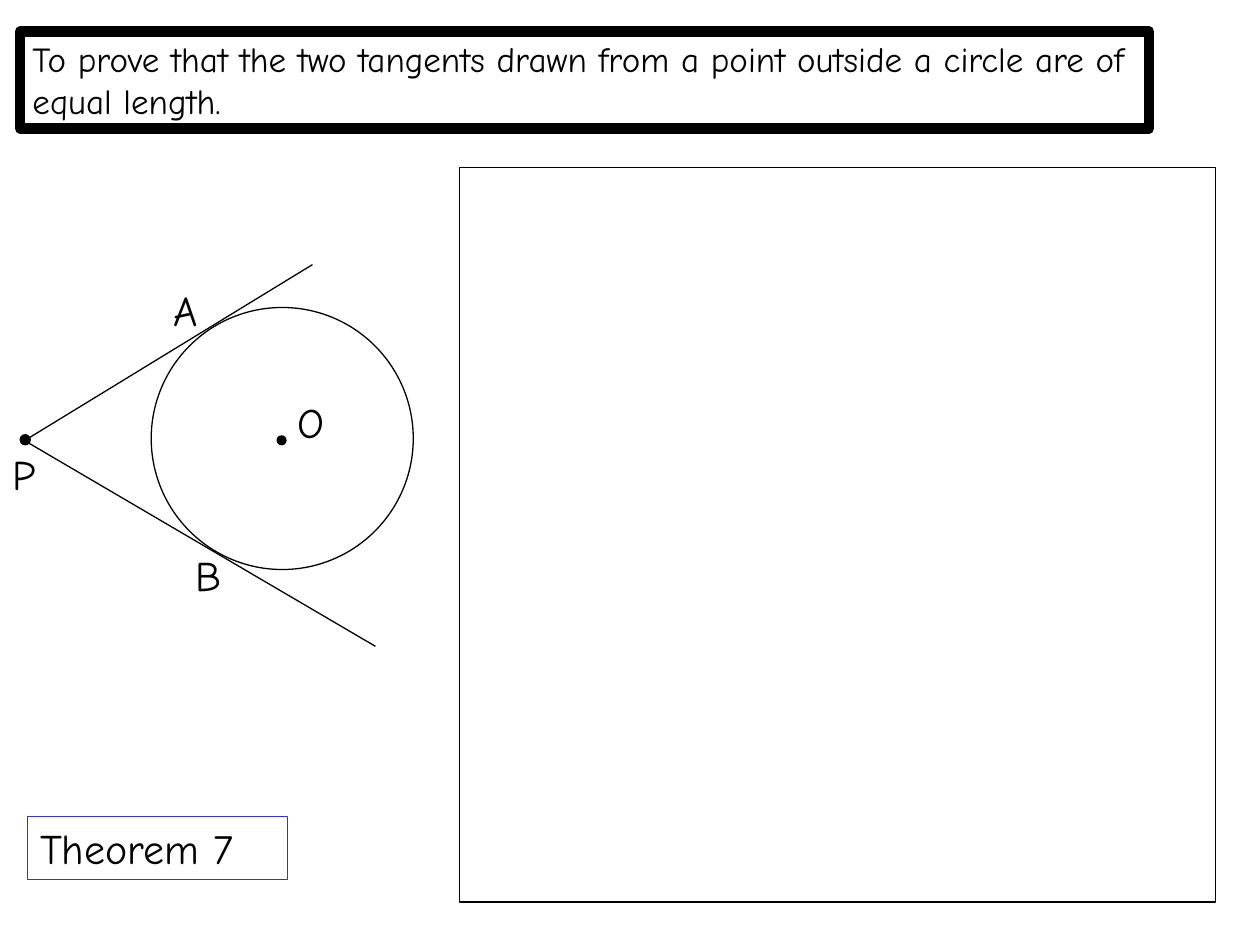
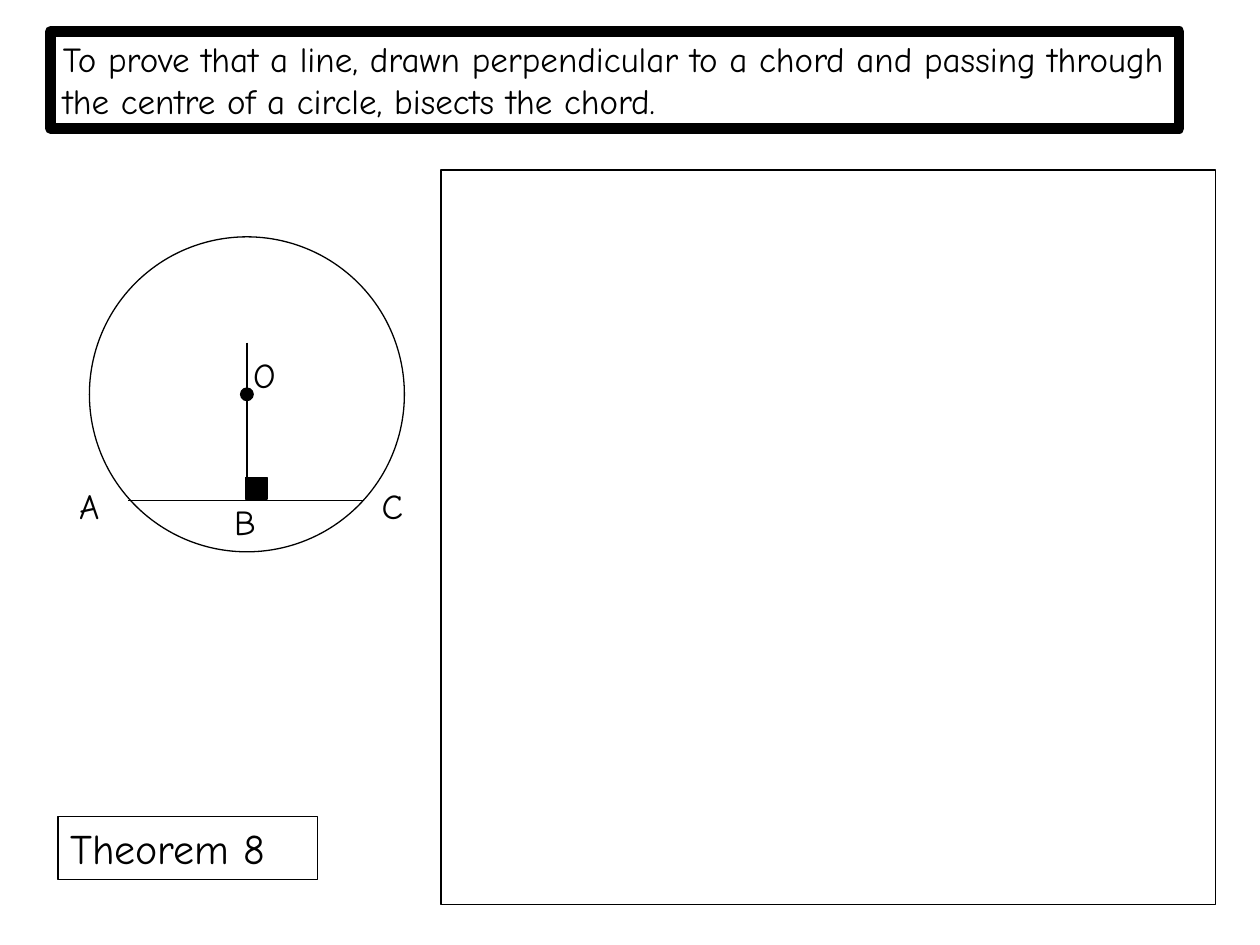
from lxml.etree import SubElement
from pptx import Presentation
from pptx.dml.color import RGBColor
from pptx.enum.shapes import MSO_CONNECTOR, MSO_SHAPE
from pptx.enum.text import MSO_ANCHOR, PP_ALIGN
from pptx.oxml.ns import qn
from pptx.util import Inches, Pt

BLACK = RGBColor(0x00, 0x00, 0x00)
BLUE = RGBColor(0x33, 0x33, 0xCC)
FONT = "Comic Neue"
THIN, THICK = 0.75, 6

# Each theorem: wording, left offset of its boxes, proof area and figure
theorems = [
    {
        "statement": "To prove that the two tangents drawn from a point outside "
                     "a circle are of equal length.",
        "name": "Theorem 7",
        "name_border": BLUE,
        "left": 0.16,
        "proof_area": (3.65, 1.33, 6, 5.83),
        "circle": (1.2, 2.44, 2.08),
        "dots": [(2.2, 3.46, 0.07), (0.16, 3.45, 0.08)],
        "right_angles": [],
        "lines": [(0.19, 3.5, 2.48, 2.1), (0.2, 3.5, 2.98, 5.13)],
        "label_box": (0.56, 0.5, 24),
        "labels": [("O", 2.26, 3.1), ("A", 1.28, 2.21),
                   ("B", 1.45, 4.31), ("P", 0, 3.51)],
    },
    {
        "statement": "To prove that a line, drawn perpendicular to a chord and "
                     "passing through the centre of a circle, bisects the chord.",
        "name": "Theorem 8",
        "name_border": BLACK,
        "left": 0.4,
        "proof_area": (3.5, 1.35, 6.15, 5.83),
        "circle": (0.71, 1.88, 2.5),
        "dots": [(1.91, 3.08, 0.1)],
        "right_angles": [(1.95, 3.79, 0.17)],
        "lines": [(1.02, 3.97, 2.88, 3.97), (1.96, 2.72, 1.96, 3.95)],
        "label_box": (0.65, 0.44, 20),
        "labels": [("O", 1.91, 2.76), ("A", 0.53, 3.8),
                   ("B", 1.76, 3.92), ("C", 2.93, 3.8)],
    },
]


def add_outline(slide, kind, left, top, width, height,
                border=BLACK, weight=THIN, fill=None):
    shape = slide.shapes.add_shape(
        kind, Inches(left), Inches(top), Inches(width), Inches(height))
    shape.shadow.inherit = False
    shape.line.color.rgb = border
    shape.line.width = Pt(weight)
    if fill is None:
        shape.fill.background()
    else:
        shape.fill.solid()
        shape.fill.fore_color.rgb = fill
    return shape


def write(shape, text, size):
    frame = shape.text_frame
    frame.text = text
    frame.word_wrap = True
    frame.vertical_anchor = MSO_ANCHOR.TOP
    paragraph = frame.paragraphs[0]
    paragraph.alignment = PP_ALIGN.LEFT
    font = paragraph.runs[0].font
    font.name = FONT
    font.size = Pt(size)
    font.color.rgb = BLACK


prs = Presentation()
prs.slide_width = Inches(10)
prs.slide_height = Inches(7.5)

for theorem in theorems:
    slide = prs.slides.add_slide(prs.slide_layouts[6])
    left = theorem["left"]

    # Statement at the top and theorem name at the bottom
    statement = add_outline(slide, MSO_SHAPE.RECTANGLE, left, 0.25, 8.96, 0.77,
                            weight=THICK)
    write(statement, theorem["statement"], 20)
    name = add_outline(slide, MSO_SHAPE.RECTANGLE, left + 0.06, 6.48, 2.06, 0.5,
                       border=theorem["name_border"])
    write(name, theorem["name"], 24)

    # Circle, marked points and right angle
    x, y, diameter = theorem["circle"]
    add_outline(slide, MSO_SHAPE.OVAL, x, y, diameter, diameter)
    for x, y, size in theorem["dots"]:
        add_outline(slide, MSO_SHAPE.OVAL, x, y, size, size, fill=BLACK)
    for x, y, size in theorem["right_angles"]:
        add_outline(slide, MSO_SHAPE.RECTANGLE, x, y, size, size, fill=BLACK)

    # Tangents, chord and perpendicular
    for ends in theorem["lines"]:
        line = slide.shapes.add_connector(
            MSO_CONNECTOR.STRAIGHT, *[Inches(end) for end in ends])
        line.line.color.rgb = BLACK
        line.line.width = Pt(THIN)
        SubElement(line._element.spPr, qn("a:effectLst"))

    # Letters of the points
    width, height, size = theorem["label_box"]
    for letter, x, y in theorem["labels"]:
        label = slide.shapes.add_textbox(
            Inches(x), Inches(y), Inches(width), Inches(height))
        write(label, letter, size)

    # Empty area for the proof
    add_outline(slide, MSO_SHAPE.RECTANGLE, *theorem["proof_area"])

prs.save("out.pptx")
